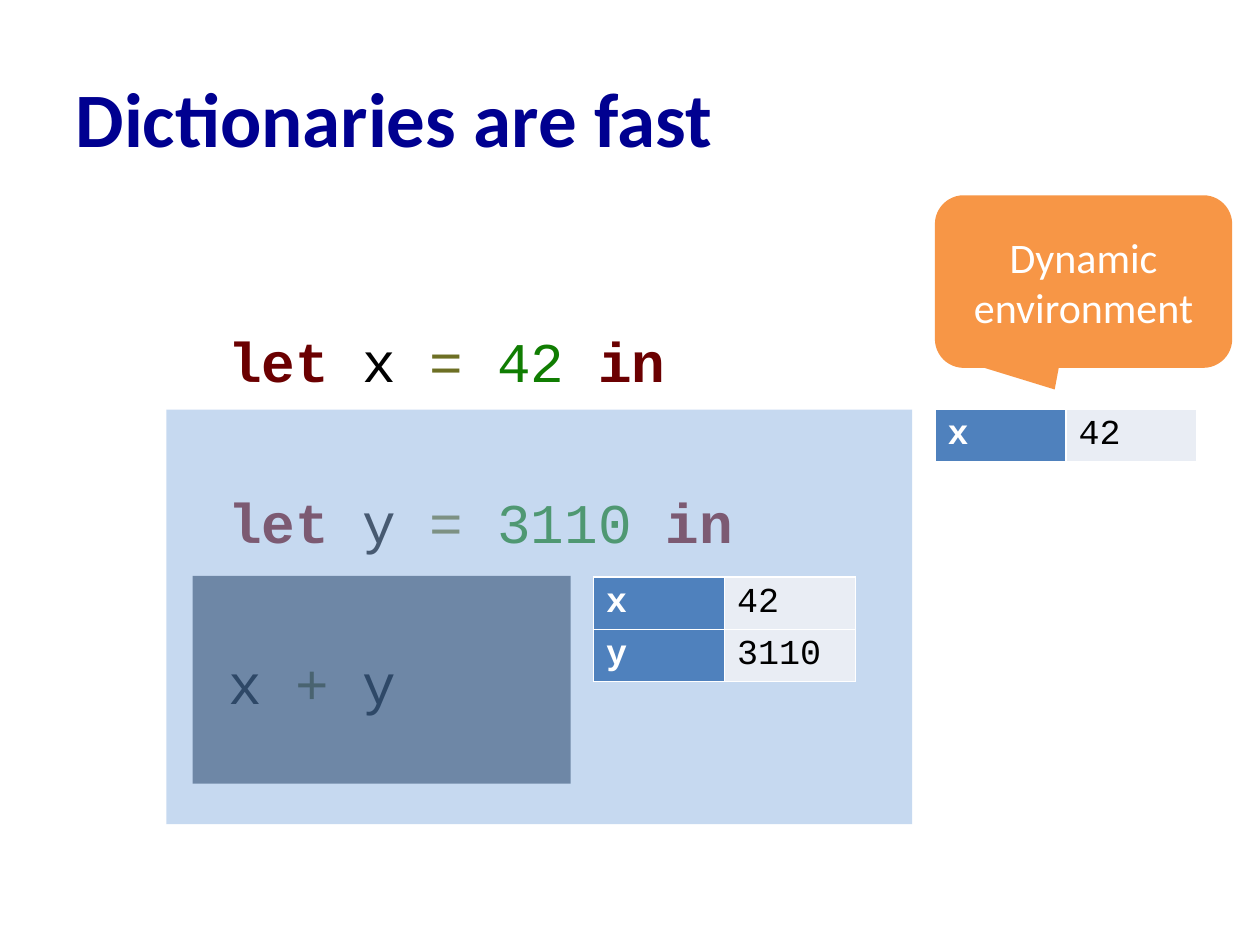
from lxml import etree
from pptx import Presentation
from pptx.dml.color import RGBColor
from pptx.enum.shapes import MSO_SHAPE
from pptx.enum.text import MSO_ANCHOR, MSO_AUTO_SIZE, PP_ALIGN
from pptx.oxml.ns import qn
from pptx.util import Inches, Pt

RECT = MSO_SHAPE.RECTANGLE
CALLOUT = MSO_SHAPE.ROUNDED_RECTANGULAR_CALLOUT
MIDDLE, TOP = MSO_ANCHOR.MIDDLE, MSO_ANCHOR.TOP
LEFT, CENTER = PP_ALIGN.LEFT, PP_ALIGN.CENTER
NO_FIT = MSO_AUTO_SIZE.NONE

BODY_FONT, CODE_FONT = "Calibri", "Courier New"
COLORS = {
    "title": "000090", "keyword": "6B0001", "name": "000000",
    "operator": "6D6F24", "number": "107D02", "white": "FFFFFF",
    "key": "4F81BD", "value": "E9EDF4", "outer": "8EB4E3",
    "inner": "17375E", "callout": "F79646",
}
CODE = [
    [("let", "keyword"), (" x ", "name"), ("= ", "operator"),
     ("42 ", "number"), ("in", "keyword")],
    [("let", "keyword"), (" y ", "name"), ("= ", "operator"),
     ("3110 ", "number"), ("in", "keyword")],
    [("x ", "name"), ("+", "operator"), (" y", "name")],
]


def rgb(name):
    return RGBColor.from_string(COLORS[name])


def place(sp, box):
    sp.left, sp.top, sp.width, sp.height = (Inches(v) for v in box)


def add_run(p, text, size, font, color, bold=False):
    r = p.add_run()
    r.text = text
    r.font.size = Pt(size)
    r.font.name = font
    r.font.bold = bold
    r.font.color.rgb = rgb(color)


def add_title(s, box, text):
    sp = s.shapes.title
    place(sp, box)
    tf = sp.text_frame
    tf.auto_size = NO_FIT
    tf.vertical_anchor = MIDDLE
    p = tf.paragraphs[0]
    p.alignment = LEFT
    add_run(p, text, 44, BODY_FONT, "title", True)


def add_code(s, box, lines):
    sp = s.placeholders[1]
    place(sp, box)
    tf = sp.text_frame
    tf.auto_size = NO_FIT
    tf.vertical_anchor = TOP
    for i, line in enumerate(lines):
        p = tf.add_paragraph() if i else tf.paragraphs[0]
        pPr = p._p.get_or_add_pPr()
        pPr.set("marL", "0")
        pPr.set("indent", "0")
        etree.SubElement(pPr, qn("a:buNone"))
        p.space_before = Pt(53.75 if i else 0)
        for text, color in line:
            add_run(p, text, 32, CODE_FONT, color, color == "keyword")


def add_shape(s, kind, box, color, alpha=None):
    sp = s.shapes.add_shape(kind, *(Inches(v) for v in box))
    sp.shadow.inherit = False
    sp.fill.solid()
    sp.fill.fore_color.rgb = rgb(color)
    sp.line.fill.background()
    if alpha:
        clr = sp.fill._xPr.find(qn("a:solidFill"))[0]
        etree.SubElement(clr, qn("a:alpha"), val=str(alpha * 1000))
    return sp


def add_borders(cell):
    tcPr = cell._tc.get_or_add_tcPr()
    for i, side in enumerate(("lnL", "lnR", "lnT", "lnB")):
        ln = etree.Element(qn("a:" + side), w=str(Pt(1)))
        fill = etree.SubElement(ln, qn("a:solidFill"))
        etree.SubElement(fill, qn("a:srgbClr"), val=COLORS["white"])
        tcPr.insert(i, ln)


def add_environment(s, left, top, bindings):
    col, row = 1.04, 0.41
    box = (left, top, 2 * col, row * len(bindings))
    tbl = s.shapes.add_table(len(bindings), 2, *(Inches(v) for v in box)).table
    for i, binding in enumerate(bindings):
        for j, text in enumerate(binding):
            cell = tbl.cell(i, j)
            cell.fill.solid()
            cell.fill.fore_color.rgb = rgb("value" if j else "key")
            add_borders(cell)
            add_run(cell.text_frame.paragraphs[0], text, 20, CODE_FONT,
                    "name" if j else "white", j == 0)


def add_callout(s, box, text):
    sp = add_shape(s, CALLOUT, box, "callout")
    for i, value in enumerate((-0.097, 0.625, 0.167)):
        sp.adjustments[i] = value
    tf = sp.text_frame
    tf.word_wrap = True
    tf.vertical_anchor = MIDDLE
    p = tf.paragraphs[0]
    p.alignment = CENTER
    add_run(p, text, 24, BODY_FONT, "white")


def main():
    prs = Presentation()
    prs.slide_width, prs.slide_height = Inches(10), Inches(7.5)
    s = prs.slides.add_slide(prs.slide_layouts[1])
    x, y = ("x", "42"), ("y", "3110")
    add_title(s, (0.5, 0.3, 9, 1.25), "Dictionaries are fast")
    add_code(s, (1.71, 2.54, 5.71, 4.23), CODE)
    add_environment(s, 7.42, 3.25, [x])
    add_shape(s, RECT, (1.32, 3.25, 5.92, 3.29), "outer", 50)
    add_environment(s, 4.71, 4.58, [x, y])
    add_shape(s, RECT, (1.53, 4.57, 3, 1.65), "inner", 50)
    add_callout(s, (7.42, 1.55, 2.36, 1.37), "Dynamic environment")
    prs.save("out.pptx")


if __name__ == "__main__":
    main()
